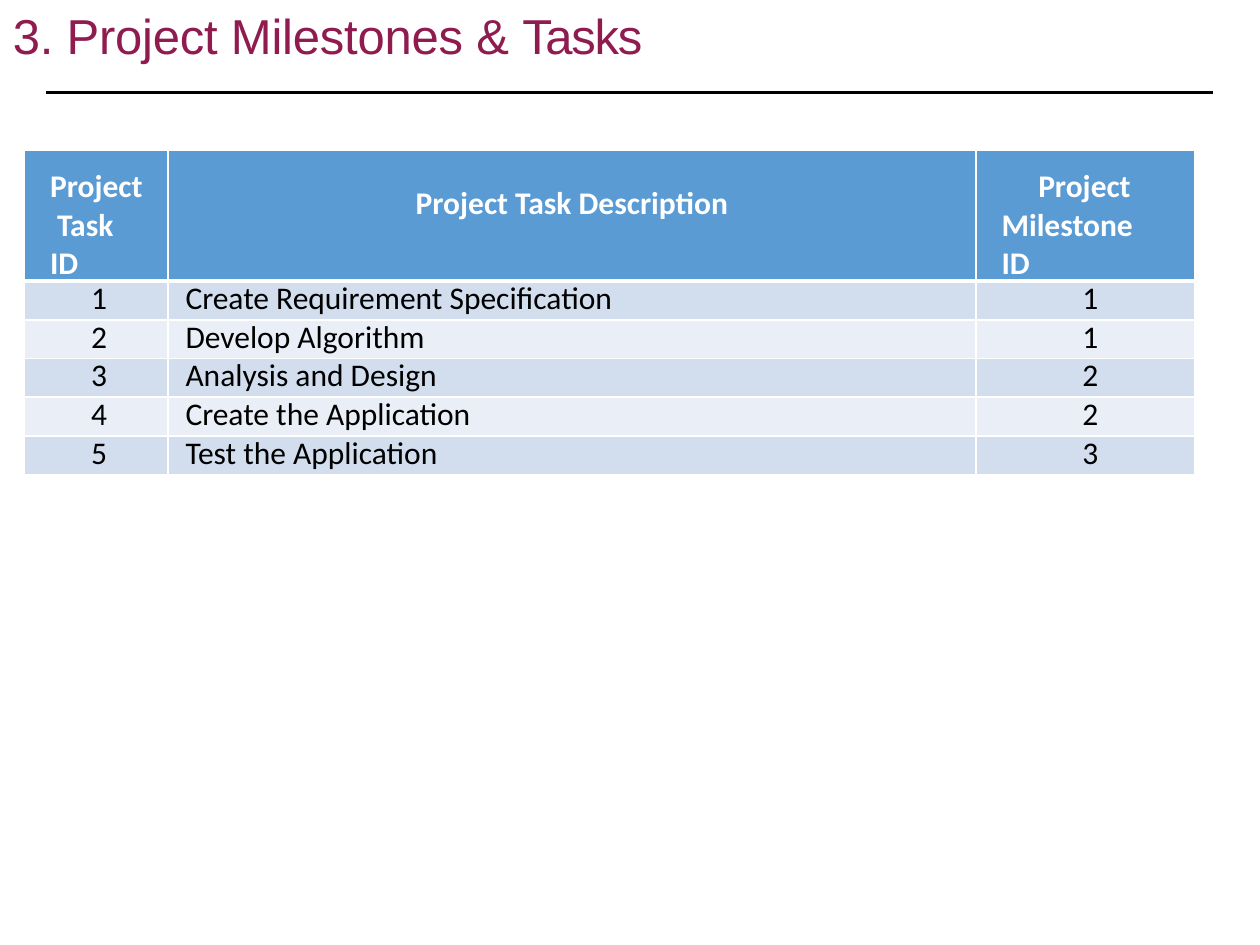
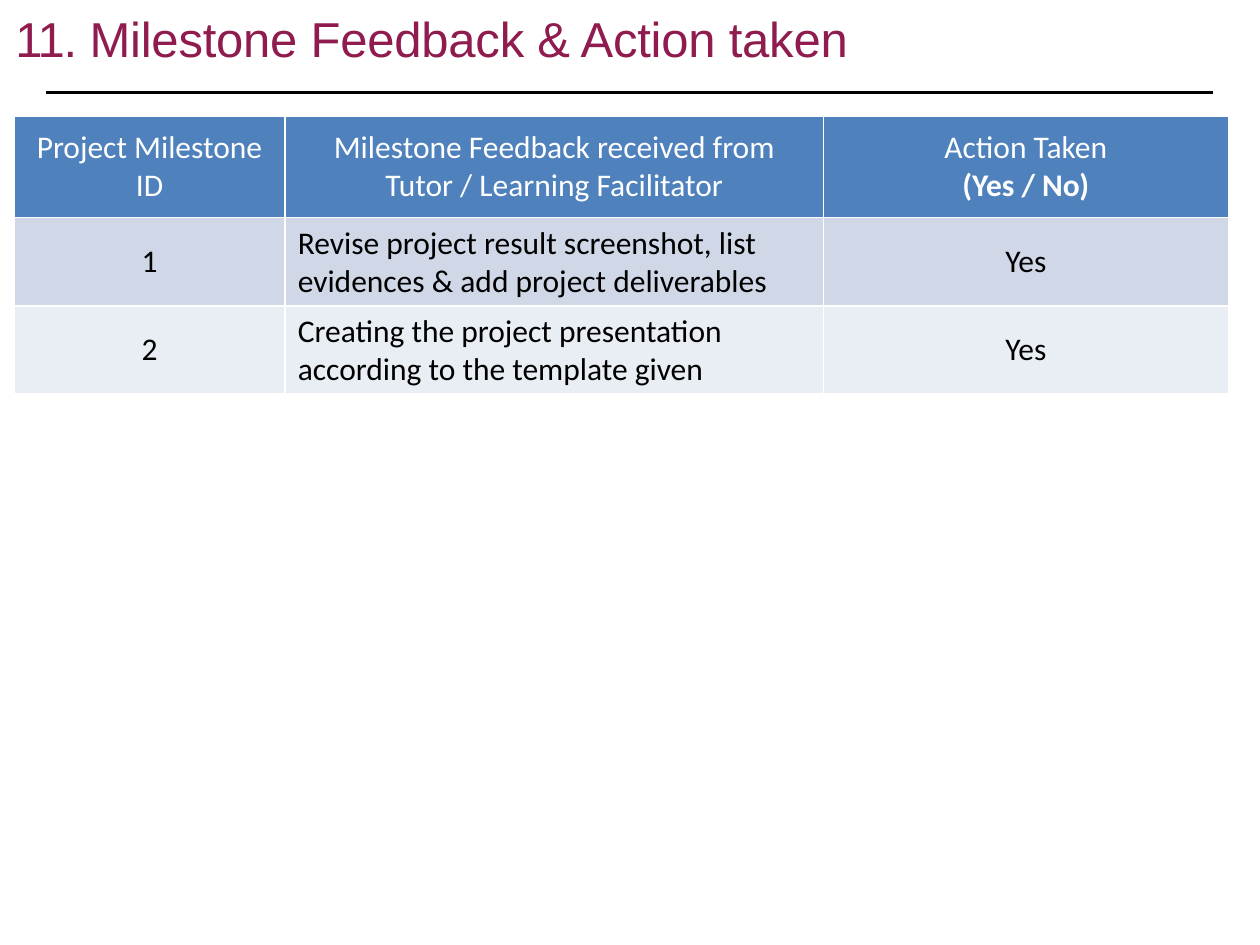
import pptx
import pptx.util
import pptx.dml.color
import pptx.enum.shapes
import pptx.enum.text
import pptx.oxml
import pptx.oxml.ns

Cm = pptx.util.Cm
Pt = pptx.util.Pt
RGBColor = pptx.dml.color.RGBColor
ALIGN = pptx.enum.text.PP_ALIGN
ANCHOR = pptx.enum.text.MSO_ANCHOR

PLUM = RGBColor(0x8F, 0x1B, 0x4F)
BLACK = RGBColor(0, 0, 0)
WHITE = RGBColor(0xFF, 0xFF, 0xFF)
TASKS = dict(head=RGBColor(0x5B, 0x9B, 0xD4),
             bands=(RGBColor(0xD2, 0xDE, 0xEE), RGBColor(0xEA, 0xEE, 0xF7)))
NOTES = dict(head=RGBColor(0x4F, 0x81, 0xBD),
             bands=(RGBColor(0xD0, 0xD8, 0xE8), RGBColor(0xE9, 0xED, 0xF4)))


def write(frame, text, size=18, font="Calibri", color=BLACK, bold=False,
          align=ALIGN.LEFT, left=0, lead=None):
    """Add a paragraph; text is a string or a list of (text, tracking) runs."""
    first = frame.paragraphs[0]
    para = frame.add_paragraph() if first.runs else first
    para.alignment = align
    para.line_spacing = lead
    if left:
        para._p.get_or_add_pPr().set("marL", str(Cm(left)))
    for part, track in [(text, 0)] if isinstance(text, str) else text:
        run = para.add_run()
        run.text = part
        run.font.size = Pt(size)
        run.font.name = font
        run.font.bold = bold
        run.font.color.rgb = color
        if track:
            run.font._element.set("spc", str(track))


def inset(area, left=0, top=0, right=0, bottom=0):
    area.margin_left, area.margin_top = Cm(left), Cm(top)
    area.margin_right, area.margin_bottom = Cm(right), Cm(bottom)


def edge(cell, top=1, base=1):
    """Draw white borders, given in points, round a cell."""
    props = cell._tc.get_or_add_tcPr()
    sides = (("lnL", 1), ("lnR", 1), ("lnT", top), ("lnB", base))
    for spot, (side, width) in enumerate(sides):
        props.insert(spot, pptx.oxml.parse_xml(
            f'<a:{side} {pptx.oxml.ns.nsdecls("a")} w="{Pt(width)}">'
            f'<a:solidFill><a:srgbClr val="{WHITE}"/></a:solidFill></a:{side}>'))


def start(deck, title, box):
    """Add a slide with the shared title style and rule."""
    slide = deck.slides.add_slide(deck.slide_layouts[6])
    rule = slide.shapes.add_connector(
        pptx.enum.shapes.MSO_CONNECTOR.STRAIGHT,
        Cm(0.93), Cm(1.86), Cm(24.46), Cm(1.86))
    rule.line.color.rgb = BLACK
    rule.line.width = Pt(2)
    rule._element.spPr.append(pptx.oxml.parse_xml(
        f'<a:effectLst {pptx.oxml.ns.nsdecls("a")}/>'))
    frame = slide.shapes.add_textbox(*map(Cm, box)).text_frame
    frame.word_wrap = True
    inset(frame, top=0.03)
    write(frame, title, size=28, font="Arial", color=PLUM, left=0.03)
    return slide


def grid(slide, spot, widths, heights, look, rule=1):
    """Add a filled and bordered table; rule is the line under its head."""
    table = slide.shapes.add_table(
        len(heights), len(widths), *map(Cm, spot),
        Cm(sum(widths)), Cm(sum(heights))).table
    table.first_row = table.horz_banding = False
    for col, width in zip(table.columns, widths):
        col.width = Cm(width)
    for row, height in enumerate(heights):
        table.rows[row].height = Cm(height)
        for cell in table.rows[row].cells:
            cell.fill.solid()
            cell.fill.fore_color.rgb = (
                look["bands"][(row - 1) % 2] if row else look["head"])
            edge(cell, top=rule if row == 1 else 1, base=1 if row else rule)
    return table


def tasks(deck):
    slide = start(deck, [("3. Project Milestones & ", -10), ("Tasks", -70)],
                  (0.23, 0.08, 13.2, 1.24))
    rows = (("Create Requirement Specification", "1"),
            ("Develop Algorithm", "1"),
            ("Analysis and Design", "2"),
            ("Create the Application", "2"),
            ("Test the Application", "3"))
    table = grid(slide, (0.49, 3.03), (2.9, 16.28, 4.42),
                 [2.58] + [0.78] * len(rows), TASKS, rule=3)
    heads = (
        (0.35, ALIGN.LEFT, (("Project", 0.52), ("Task", 0.66), ("ID", 0.52))),
        (0.69, ALIGN.CENTER, (("Project Task Description", 0),)),
        (0.35, ALIGN.LEFT, (("Project", 1.26), ("Milestone", 0.52), ("ID", 0.52))))
    for col, (top, align, lines) in enumerate(heads):
        cell = table.cell(0, col)
        inset(cell, top=top)
        for text, left in lines:
            write(cell.text_frame, text, color=WHITE, bold=True,
                  align=align, left=left)
    for num, (task, stone) in enumerate(rows, 1):
        for col, (text, align, left) in enumerate((
                (str(num), ALIGN.CENTER, 0.12),
                (task, ALIGN.LEFT, 0.35),
                (stone, ALIGN.CENTER, 0.2))):
            cell = table.cell(num, col)
            inset(cell)
            write(cell.text_frame, text, align=align, left=left, lead=Pt(21.1))


def feedback(deck):
    slide = start(deck, [("11. ", -70), ("Milestone Feedback & Action taken", -10)],
                  (0.28, 0.15, 17.5, 1.24))
    rows = ((("Project Milestone ID",),
             ("Milestone Feedback received from Tutor / Learning Facilitator",),
             ("Action Taken", "(Yes / No)")),
            (("1",),
             ("Revise project result screenshot, list evidences"
              " & add project deliverables",),
             ("Yes",)),
            (("2",),
             ("Creating the project presentation according to the template given",),
             ("Yes",)))
    table = grid(slide, (0.28, 2.34), (5.47, 10.85, 8.16),
                 (2.05, 1.77, 1.77), NOTES)
    for row, cells in enumerate(rows):
        for col, lines in enumerate(cells):
            cell = table.cell(row, col)
            cell.vertical_anchor = ANCHOR.MIDDLE
            for line, text in enumerate(lines):
                write(cell.text_frame, text, color=BLACK if row else WHITE,
                      bold=line > 0,
                      align=ALIGN.LEFT if row and col == 1 else ALIGN.CENTER)


def main():
    deck = pptx.Presentation()
    deck.slide_width, deck.slide_height = Cm(25.4), Cm(19.05)
    tasks(deck)
    feedback(deck)
    deck.save("out.pptx")


if __name__ == "__main__":
    main()
